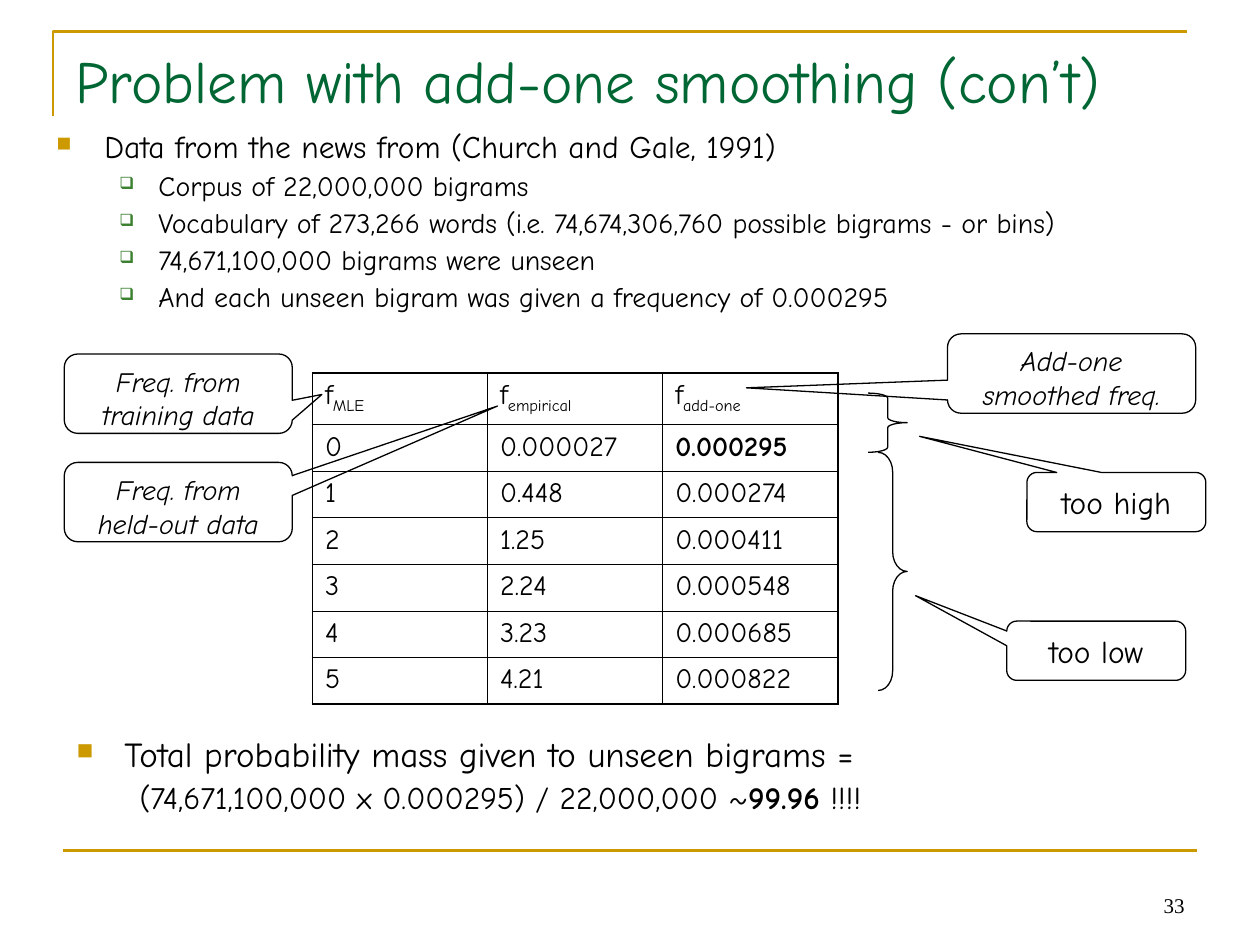
from lxml import etree
from pptx import Presentation
from pptx.dml.color import RGBColor
from pptx.enum.shapes import MSO_CONNECTOR, MSO_SHAPE
from pptx.enum.text import MSO_ANCHOR, PP_ALIGN
from pptx.oxml.ns import qn
from pptx.util import Inches, Pt

CALLOUT = MSO_SHAPE.ROUNDED_RECTANGULAR_CALLOUT
BRACE = MSO_SHAPE.RIGHT_BRACE
STRAIGHT = MSO_CONNECTOR.STRAIGHT
CENTER, RIGHT = PP_ALIGN.CENTER, PP_ALIGN.RIGHT
TOP, BOTTOM = MSO_ANCHOR.TOP, MSO_ANCHOR.BOTTOM
MIDDLE = MSO_ANCHOR.MIDDLE

BLACK = RGBColor(0x00, 0x00, 0x00)
GOLD = RGBColor(0xCC, 0x99, 0x00)
TITLE_GREEN = RGBColor(0x00, 0x66, 0x33)
BULLET_GREEN = RGBColor(0x3B, 0x81, 0x2F)
FONT = "Comic Neue"
NUMBER_FONT = "Times New Roman"

SQUARE = ("■", GOLD, 65)
BOX = ("❑", BULLET_GREEN, 60)
FIRST_LEVEL = (0.38, -0.38)
SECOND_LEVEL = (0.81, -0.31)

TITLE = "Problem with add-one smoothing (con’t)"
DATA_HEADING = "Data from the news from (Church and Gale, 1991)"
DATA_POINTS = [
    "Corpus of 22,000,000 bigrams",
    "Vocabulary of 273,266 words (i.e. 74,674,306,760 possible bigrams - or bins)",
    "74,671,100,000 bigrams were unseen",
    "And each unseen bigram was given a frequency of 0.000295",
]
TOTAL_HEADING = "Total probability mass given to unseen bigrams ="
TOTAL_PARTS = [("(74,671,100,000 x 0.000295) / 22,000,000 ~", False),
               ("99.96", True), (" !!!!", False)]
PAGE_NUMBER = "33"

ESTIMATORS = ["MLE", "empirical", "add-one"]
FREQUENCIES = [
    ("0", "0.000027", "0.000295"),
    ("1", "0.448", "0.000274"),
    ("2", "1.25", "0.000411"),
    ("3", "2.24", "0.000548"),
    ("4", "3.23", "0.000685"),
    ("5", "4.21", "0.000822"),
]
BOLD_VALUE = "0.000295"
TABLE_LEFT, TABLE_TOP, COLUMN_WIDTH = 2.48, 2.96, 1.39
HEADER_HEIGHT, ROW_HEIGHT = 0.41, 0.37
OUTER_LINE, INNER_LINE = 1.08, 0.45

CALLOUTS = [
    ("too high", (8.15, 3.75, 1.42, 0.47), (-1.1, -1.11), 18, False),
    ("too low", (7.99, 4.93, 1.42, 0.47), (-1.01, -0.93), 18, False),
    ("Freq. from training data", (0.51, 2.81, 1.81, 0.63), (0.63, 0.01), 16, True),
    ("Freq. from held-out data", (0.51, 3.67, 1.81, 0.63), (1.4, -1.21), 16, True),
    ("Add-one smoothed freq.", (7.52, 2.65, 1.97, 0.63), (-1.31, 0.18), 16, True),
]
BRACES = [((6.89, 3.12, 0.31, 0.47), 0.13), ((6.97, 3.59, 0.23, 1.89), 0.68)]


def style_font(paragraph, size, color=BLACK, name=FONT):
    paragraph.font.size = Pt(size)
    paragraph.font.name = name
    paragraph.font.color.rgb = color


def add_text_box(slide, box, anchor=TOP):
    frame = slide.shapes.add_textbox(*map(Inches, box)).text_frame
    frame.word_wrap = True
    frame.vertical_anchor = anchor
    return frame


def format_item(paragraph, size, indents, bullet=None, space=0):
    properties = paragraph._p.get_or_add_pPr()
    left, first = indents
    properties.set("marL", str(Inches(left)))
    properties.set("indent", str(Inches(first)))
    if bullet:
        character, color, percent = bullet
        bullet_color = etree.SubElement(properties, qn("a:buClr"))
        etree.SubElement(bullet_color, qn("a:srgbClr"), val=str(color))
        etree.SubElement(properties, qn("a:buSzPct"), val=str(percent * 1000))
        etree.SubElement(properties, qn("a:buChar"), char=character)
    paragraph.line_spacing = 0.9
    if space:
        paragraph.space_before = Pt(space)
    style_font(paragraph, size)


def add_frame_lines(slide):
    builder = slide.shapes.build_freeform(Inches(0.42), Inches(0.92))
    corner = [(Inches(0.42), Inches(0.25)), (Inches(9.42), Inches(0.25))]
    builder.add_line_segments(corner, close=False)
    bracket = builder.convert_to_shape()
    bracket.fill.background()
    bracket.shadow.inherit = False
    rule = slide.shapes.add_connector(
        STRAIGHT, Inches(0.5), Inches(6.75), Inches(9.5), Inches(6.75))
    etree.SubElement(rule._element.spPr, qn("a:effectLst"))
    for shape in (bracket, rule):
        shape.line.color.rgb = GOLD
        shape.line.width = Pt(1.5)


def set_borders(cell, at_edges):
    properties = cell._tc.get_or_add_tcPr()
    for side, at_edge in zip(("lnL", "lnR", "lnT", "lnB"), at_edges):
        width = OUTER_LINE if at_edge else INNER_LINE
        border = etree.SubElement(properties, qn(f"a:{side}"), w=str(Pt(width)))
        fill = etree.SubElement(border, qn("a:solidFill"))
        etree.SubElement(fill, qn("a:srgbClr"), val=str(BLACK))


def add_frequency_table(slide):
    rows, columns = len(FREQUENCIES) + 1, len(ESTIMATORS)
    height = HEADER_HEIGHT + ROW_HEIGHT * len(FREQUENCIES)
    table = slide.shapes.add_table(
        rows, columns, Inches(TABLE_LEFT), Inches(TABLE_TOP),
        Inches(COLUMN_WIDTH * columns), Inches(height)).table
    for column in table.columns:
        column.width = Inches(COLUMN_WIDTH)
    for index, row in enumerate(table.rows):
        row.height = Inches(ROW_HEIGHT if index else HEADER_HEIGHT)
    table.first_row = table.horz_banding = False
    for row, values in enumerate([ESTIMATORS] + FREQUENCIES):
        for column, value in enumerate(values):
            cell = table.cell(row, column)
            set_borders(cell, (column == 0, column == columns - 1,
                               row == 0, row == rows - 1))
            cell.fill.background()
            paragraph = cell.text_frame.paragraphs[0]
            style_font(paragraph, 16)
            if row == 0:
                paragraph.add_run().text = "f"
            run = paragraph.add_run()
            run.text = value
            if row == 0:
                run.font._element.set("baseline", "-25000")
            elif value == BOLD_VALUE:
                run.font.bold = True


def add_outline(slide, kind, box, adjustments):
    shape = slide.shapes.add_shape(kind, *map(Inches, box))
    for index, value in enumerate(adjustments):
        shape.adjustments[index] = value
    shape.fill.background()
    shape.line.color.rgb = BLACK
    shape.line.width = Pt(0.75)
    shape.shadow.inherit = False
    return shape


def add_callout(slide, text, box, tip, size, italic):
    frame = add_outline(slide, CALLOUT, box, (*tip, 0.17)).text_frame
    frame.word_wrap = True
    frame.vertical_anchor = TOP if italic else MIDDLE
    paragraph = frame.paragraphs[0]
    paragraph.text = text
    paragraph.alignment = CENTER
    style_font(paragraph, size)
    paragraph.font.italic = italic


def main():
    presentation = Presentation()
    presentation.slide_width = Inches(10)
    presentation.slide_height = Inches(7.5)
    slide = presentation.slides.add_slide(presentation.slide_layouts[6])
    add_frame_lines(slide)

    title = add_text_box(slide, (0.5, 0.3, 9, 1.25)).paragraphs[0]
    title.text = TITLE
    style_font(title, 34, TITLE_GREEN)

    body = add_text_box(slide, (0.35, 0.99, 9, 3.18))
    body.text = DATA_HEADING
    format_item(body.paragraphs[0], 18, FIRST_LEVEL, SQUARE)
    for point in DATA_POINTS:
        paragraph = body.add_paragraph()
        paragraph.text = point
        format_item(paragraph, 16, SECOND_LEVEL, BOX, 4)

    add_frequency_table(slide)
    for box, curl in BRACES:
        add_outline(slide, BRACE, box, (curl, 0.5))
    for callout in CALLOUTS:
        add_callout(slide, *callout)

    total = add_text_box(slide, (0.51, 5.8, 9, 0.79))
    total.text = TOTAL_HEADING
    format_item(total.paragraphs[0], 20, FIRST_LEVEL, SQUARE)
    formula = total.add_paragraph()
    format_item(formula, 18, SECOND_LEVEL, space=4.5)
    for text, bold in TOTAL_PARTS:
        run = formula.add_run()
        run.text = text
        run.font.bold = bold

    number = add_text_box(slide, (7.17, 6.83, 2.33, 0.5), BOTTOM).paragraphs[0]
    number.text = PAGE_NUMBER
    number.alignment = RIGHT
    style_font(number, 12, name=NUMBER_FONT)

    presentation.save("out.pptx")


if __name__ == "__main__":
    main()
